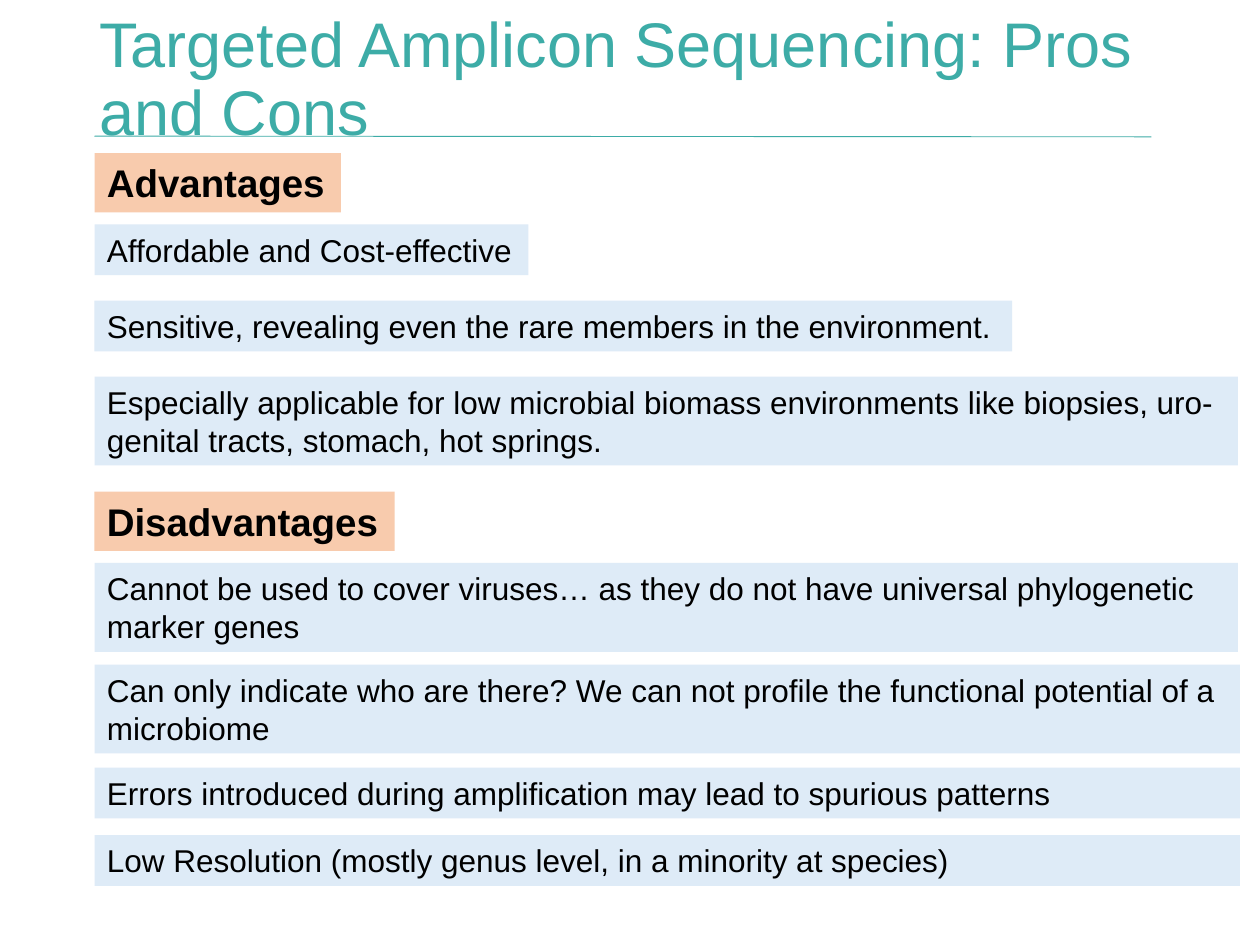
from lxml.etree import SubElement
from pptx import Presentation
from pptx.dml.color import RGBColor
from pptx.enum.shapes import MSO_CONNECTOR, MSO_SHAPE
from pptx.enum.text import MSO_ANCHOR, PP_ALIGN
from pptx.oxml.ns import qn
from pptx.util import Pt

TEAL = RGBColor(0x3D, 0xAC, 0xA7)
PEACH = RGBColor(0xF8, 0xCB, 0xAD)
PALE_BLUE = RGBColor(0xDE, 0xEB, 0xF7)
BLACK = RGBColor(0, 0, 0)

LEFT = 54
HEADING_HEIGHT = 33.8
LINE_HEIGHT = 21.8  # one line of body text
PADDING = 7.2       # top and bottom insets together

# Text, top, width
HEADINGS = [
    ("Advantages", 87.6, 140.8),
    ("Disadvantages", 281, 171.6),
]
# Text, top, width, number of lines
POINTS = [
    ("Affordable and Cost-effective", 128.2, 248, 1),
    ("Sensitive, revealing even the rare members in the environment.", 171.8, 524.4, 1),
    ("Especially applicable for low microbial biomass environments like biopsies, "
     "uro-genital tracts, stomach, hot springs.", 215.2, 653.4, 2),
    ("Cannot be used to cover viruses… as they do not have universal phylogenetic "
     "marker genes", 321.7, 653.4, 2),
    ("Can only indicate who are there? We can not profile the functional potential "
     "of a microbiome", 379.8, 654.5, 2),
    ("Errors introduced during amplification may lead to spurious patterns", 438.6, 654.5, 1),
    ("Low Resolution (mostly genus level, in a minority at species)", 477.2, 654.5, 1),
]


def write_text(frame, text, *, size, color=BLACK, bold=False, spacing=1.0,
               anchor=MSO_ANCHOR.TOP, wrap=True):
    frame.word_wrap = wrap
    frame.vertical_anchor = anchor
    paragraph = frame.paragraphs[0]
    paragraph.alignment = PP_ALIGN.LEFT
    paragraph.line_spacing = spacing
    run = paragraph.add_run()
    run.text = text
    run.font.name = "Arial"
    run.font.size = Pt(size)
    run.font.bold = bold
    run.font.color.rgb = color


class SlideBuilder:
    def __init__(self, slide):
        self.slide = slide

    def rule(self, start, end):
        line = self.slide.shapes.add_connector(
            MSO_CONNECTOR.STRAIGHT, *(Pt(value) for value in start + end))
        line.line.color.rgb = TEAL
        line.line.width = Pt(0.5)
        SubElement(line._element.spPr, qn("a:effectLst"))

    def title(self, text, left, top, width, height):
        box = self.slide.shapes.add_textbox(Pt(left), Pt(top), Pt(width), Pt(height))
        write_text(box.text_frame, text, size=36, color=TEAL, spacing=0.9,
                   anchor=MSO_ANCHOR.MIDDLE)

    def label(self, text, top, width, height, fill, **text_format):
        shape = self.slide.shapes.add_shape(
            MSO_SHAPE.RECTANGLE, Pt(LEFT), Pt(top), Pt(width), Pt(height))
        shape.shadow.inherit = False
        shape.fill.solid()
        shape.fill.fore_color.rgb = fill
        shape.line.fill.background()
        write_text(shape.text_frame, text, **text_format)

    def heading(self, text, top, width):
        self.label(text, top, width, HEADING_HEIGHT, PEACH, size=22, bold=True, wrap=False)

    def point(self, text, top, width, lines):
        height = lines * LINE_HEIGHT + PADDING
        self.label(text, top, width, height, PALE_BLUE, size=18, wrap=lines > 1)


def main():
    presentation = Presentation()
    presentation.slide_width = Pt(720)
    presentation.slide_height = Pt(540)
    builder = SlideBuilder(presentation.slides.add_slide(presentation.slide_layouts[6]))

    # Title and rule
    builder.rule((LEFT, 77.8), (658, 78.2))
    builder.title("Targeted Amplicon Sequencing: Pros and Cons", 49.7, -5.8, 620.6, 104.4)

    # Advantages and disadvantages
    for heading in HEADINGS:
        builder.heading(*heading)
    for point in POINTS:
        builder.point(*point)

    presentation.save("out.pptx")


if __name__ == "__main__":
    main()
